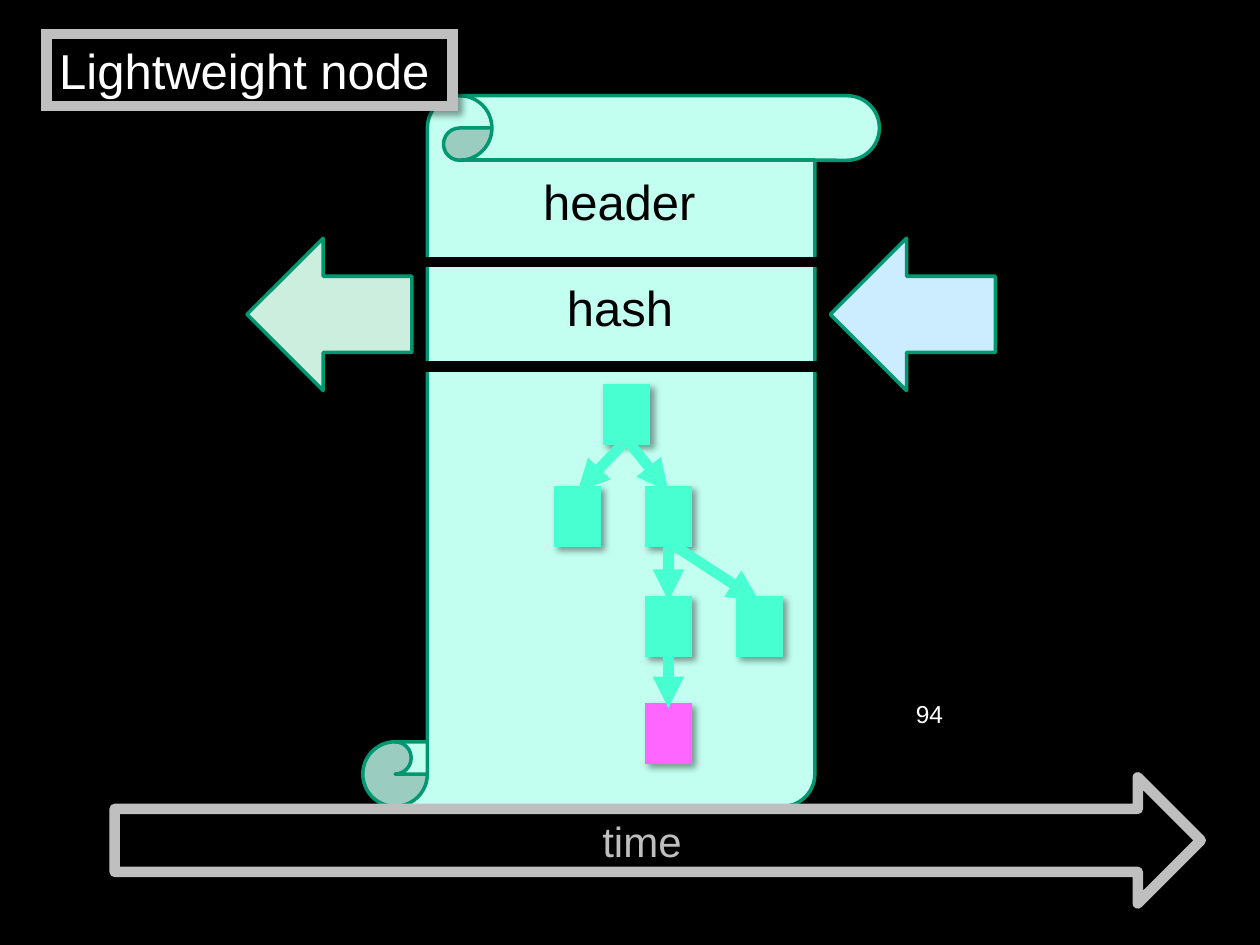
from dataclasses import dataclass
from typing import Optional

from pptx import Presentation
from pptx.dml.color import RGBColor as RGB
from pptx.enum.shapes import MSO_CONNECTOR as CONN, MSO_SHAPE as SHAPE
from pptx.enum.text import MSO_ANCHOR as ANCHOR, MSO_AUTO_SIZE as FIT, PP_ALIGN as ALIGN
from pptx.oxml import parse_xml
from pptx.oxml.ns import nsdecls, qn
from pptx.util import Inches, Pt


@dataclass(frozen=True)
class Theme:
    font: str = "Arial"
    black: str = "000000"
    white: str = "FFFFFF"
    grey: str = "BFBFBF"
    scroll: str = "C2FFF0"
    outline: str = "009771"
    hash_out: str = "CCEEDF"
    hash_in: str = "CCECFF"
    node: str = "47FFD1"
    leaf: str = "FF66FF"
    title_pt: int = 28
    time_pt: int = 24
    number_pt: int = 14
    thin: int = 2
    thick: int = 6


@dataclass(frozen=True)
class Node:
    name: str
    left: float
    top: float
    color: str
    parent: Optional[str] = None


T = Theme()
NODE_W, NODE_H = 0.29, 0.4
NODES = [
    Node("root", 4.83, 3.09, T.node),
    Node("left", 4.44, 3.9, T.node, "root"),
    Node("right", 5.16, 3.9, T.node, "root"),
    Node("inner", 5.16, 4.77, T.node, "right"),
    Node("side", 5.88, 4.77, T.node, "right"),
    Node("transaction", 5.16, 5.62, T.leaf, "inner"),
]


def paint(sp, fill: str, line: str, width: int) -> None:
    sp.shadow.inherit = False
    sp.fill.solid()
    sp.fill.fore_color.rgb = RGB.from_string(fill)
    sp.line.color.rgb = RGB.from_string(line)
    sp.line.width = Pt(width)


def frame(sp) -> None:
    """Give a box square corners and a soft drop shadow."""
    sp.line._get_or_add_ln().append(parse_xml(f'<a:miter {nsdecls("a")} lim="800000"/>'))
    sp._element.spPr.find(qn("a:effectLst")).append(parse_xml(
        f'<a:outerShdw {nsdecls("a")} blurRad="{Pt(4)}" dist="{Pt(3)}" dir="2700000"'
        ' algn="tl" rotWithShape="0"><a:srgbClr val="000000">'
        '<a:alpha val="40000"/></a:srgbClr></a:outerShdw>'))


def add_shape(shapes, kind, box: tuple, fill: str, line: str, width: int):
    sp = shapes.add_shape(kind, *map(Inches, box))
    paint(sp, fill, line, width)
    return sp


def add_line(shapes, start: tuple, end: tuple, color: str):
    ln = shapes.add_connector(CONN.STRAIGHT, *map(Inches, start + end))
    ln.line.color.rgb = RGB.from_string(color)
    ln.line.width = Pt(T.thick)
    ln._element.spPr.append(parse_xml(f'<a:effectLst {nsdecls("a")}/>'))
    return ln


def write(sp, text: str, size: int, color: str, align=ALIGN.LEFT,
          anchor=ANCHOR.TOP, wrap: bool = True) -> None:
    tf = sp.text_frame
    tf.word_wrap = wrap
    tf.auto_size = FIT.NONE
    tf.vertical_anchor = anchor
    p = tf.paragraphs[0]
    p.alignment = align
    r = p.add_run()
    r.text = text
    r.font.name = T.font
    r.font.size = Pt(size)
    r.font.color.rgb = RGB.from_string(color)


def add_tree(shapes) -> None:
    boxes = {}
    for n in NODES:
        boxes[n.name] = add_shape(shapes, SHAPE.RECTANGLE, (n.left, n.top, NODE_W, NODE_H),
                                  n.color, n.color, T.thick)
        frame(boxes[n.name])
    for n in NODES:
        if n.parent:
            ln = add_line(shapes, (0, 0), (0, 0), T.node)
            ln.begin_connect(boxes[n.parent], 2)  # bottom of the parent
            ln.end_connect(boxes[n.name], 0)  # top of the child
            ln.line._get_or_add_ln().append(parse_xml(f'<a:tailEnd {nsdecls("a")} type="triangle"/>'))


def main() -> None:
    prs = Presentation()
    prs.slide_width, prs.slide_height = Inches(10), Inches(7.5)
    s = prs.slides.add_slide(prs.slide_layouts[5])
    s.background.fill.solid()
    s.background.fill.fore_color.rgb = RGB.from_string(T.black)

    # Block scroll with its header and hash sections
    add_shape(s.shapes, SHAPE.VERTICAL_SCROLL, (2.88, 0.76, 4.1, 5.64), T.scroll, T.outline, T.thin)
    sections = s.shapes.add_group_shape().shapes
    for y in (2.91, 2.08):
        add_line(sections, (3.33, y), (6.51, y), T.black)
    for text, box in (("hash", (4.28, 2.15, 1.28, 0.69)), ("header", (4.05, 1.31, 1.73, 0.69))):
        tb = sections.add_textbox(*map(Inches, box))
        write(tb, text, T.title_pt, T.black, ALIGN.CENTER, wrap=False)

    # Hash arrows, pointing left
    for left, fill in ((1.96, T.hash_out), (6.59, T.hash_in)):
        sp = add_shape(s.shapes, SHAPE.RIGHT_ARROW, (left, 1.89, 1.31, 1.21), fill, T.outline, T.thin)
        sp._element.spPr.xfrm.set("flipH", "1")

    # Slide number
    number = s.shapes.add_textbox(*map(Inches, (7.17, 5.5, 2.08, 0.5)))
    write(number, "94", T.number_pt, T.white)

    # Time arrow
    time = add_shape(s.shapes, SHAPE.RIGHT_ARROW, (0.91, 6.17, 8.62, 1), T.black, T.grey, T.thick)
    write(time, "time", T.time_pt, T.grey, ALIGN.CENTER, ANCHOR.MIDDLE)

    # Merkle tree
    add_tree(s.shapes)

    # Title, in front of the scroll
    title = s.shapes.title
    title.left, title.top, title.width, title.height = map(Inches, (0.37, 0.27, 3.22, 0.57))
    paint(title, T.black, T.grey, T.thick)
    frame(title)
    write(title, "Lightweight node", T.title_pt, T.white)
    s.shapes._spTree.append(title._element)

    prs.save("out.pptx")


if __name__ == "__main__":
    main()
